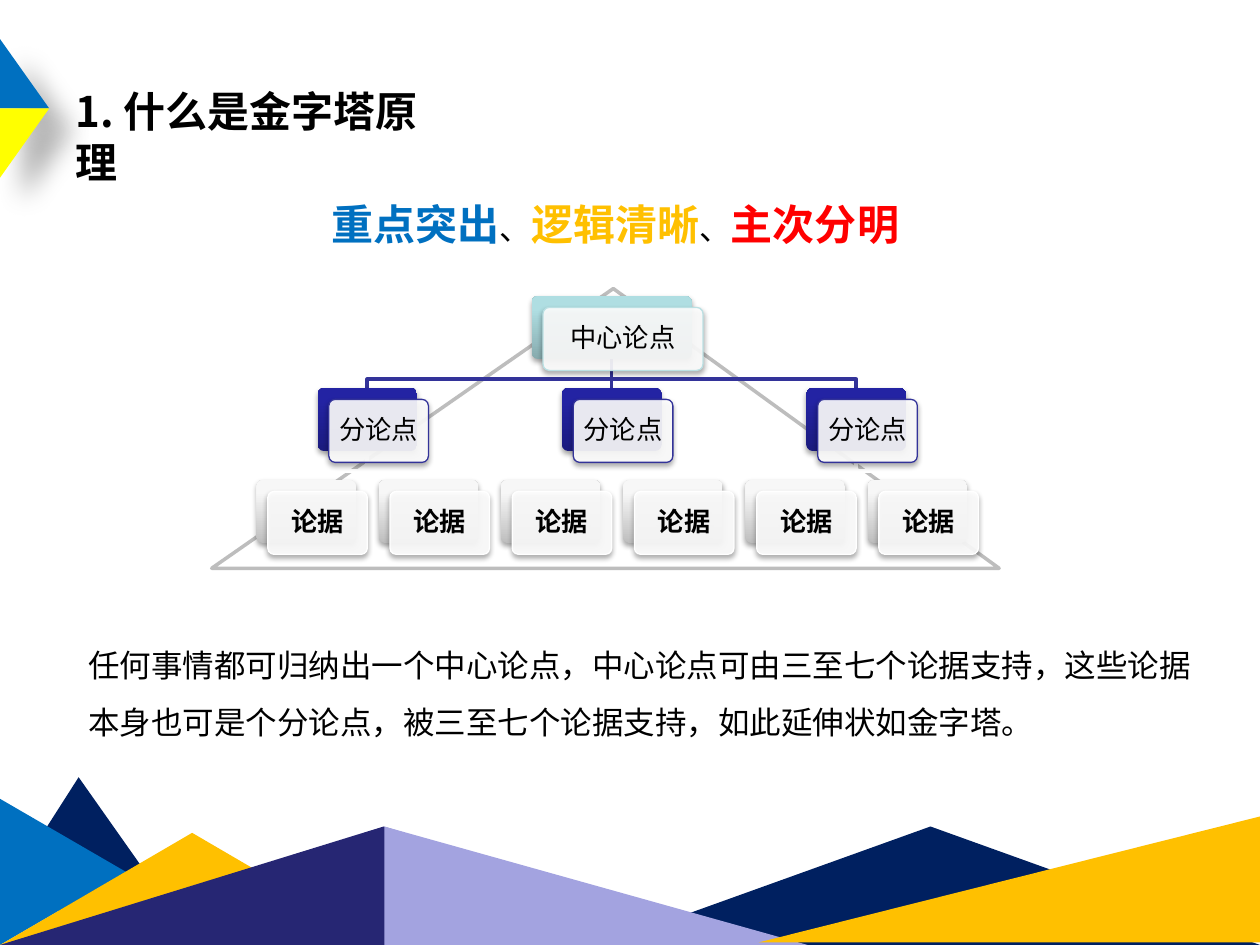
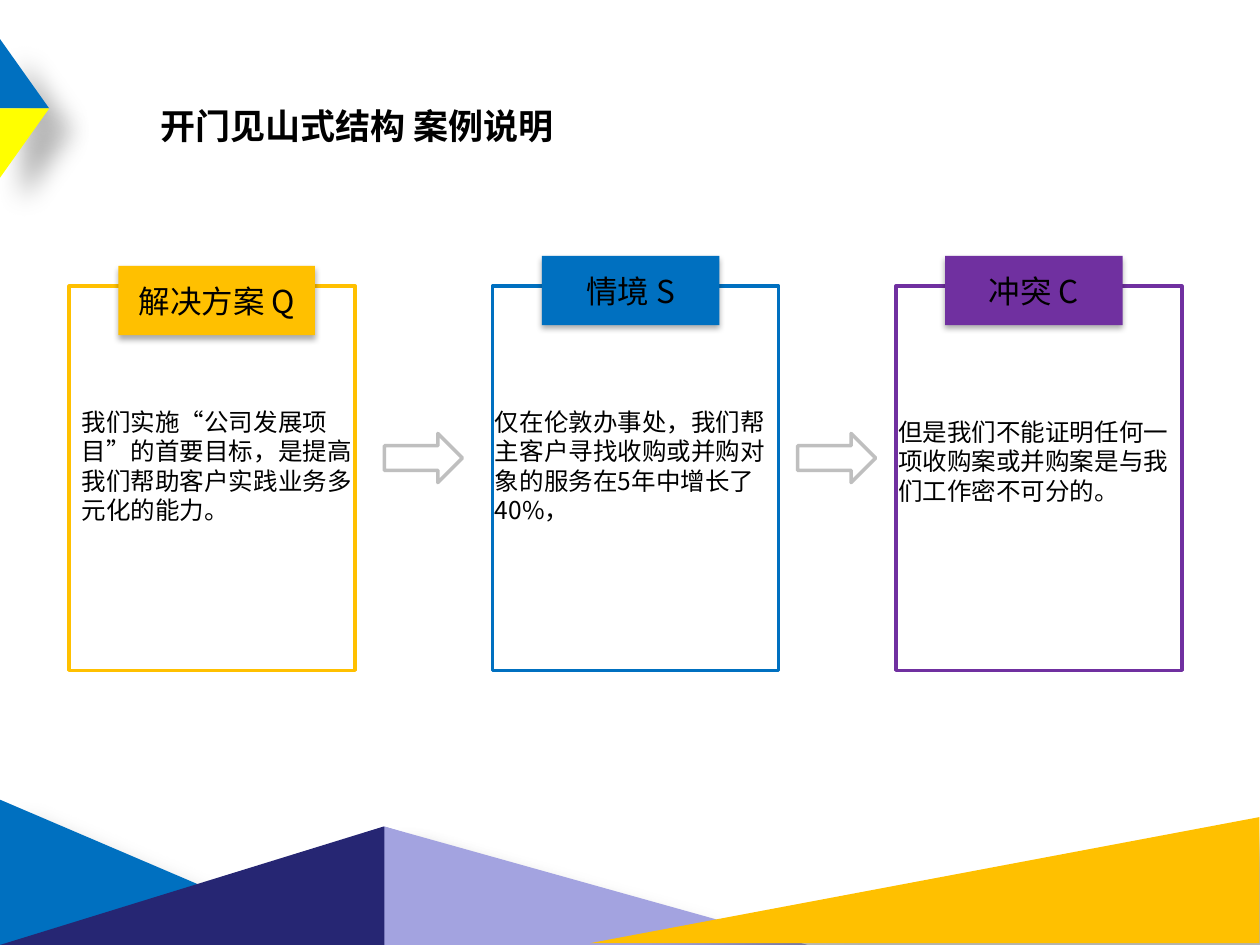
from lxml import etree
from pptx import Presentation
from pptx.dml.color import RGBColor
from pptx.enum.shapes import MSO_CONNECTOR, MSO_SHAPE
from pptx.enum.text import MSO_ANCHOR, MSO_AUTO_SIZE, PP_ALIGN
from pptx.oxml.ns import qn
from pptx.util import Inches, Pt

TRIANGLE, CORNER = MSO_SHAPE.ISOSCELES_TRIANGLE, MSO_SHAPE.RIGHT_TRIANGLE
CARD, RECT, ARROW = MSO_SHAPE.ROUNDED_RECTANGLE, MSO_SHAPE.RECTANGLE, MSO_SHAPE.RIGHT_ARROW
STRAIGHT = MSO_CONNECTOR.STRAIGHT
TOP, MIDDLE = MSO_ANCHOR.TOP, MSO_ANCHOR.MIDDLE
LEFT, CENTER = PP_ALIGN.LEFT, PP_ALIGN.CENTER
FIXED = MSO_AUTO_SIZE.NONE

COLORS = {
    "white": "FFFFFF", "black": "000000", "navy": "002060", "blue": "0070C0",
    "yellow": "FFFF00", "gold": "FFC000", "indigo": "262673", "lilac": "A3A3E0",
    "red": "FF0000", "purple": "7030A0", "silver": "BDBDBD", "arrow": "BFBFBF",
    "teal": "BBE0E3", "teal low": "87ABAE", "teal high": "AFDEE2",
    "ink": "333399", "ink low": "1B1B7E", "ink high": "2323A3",
    "gray low": "BEBEBE", "gray high": "F7F7F7",
}
FONT, LATIN = "Noto Sans CJK SC", "Arial"
CAST = {"alpha": 30, "blur": 15, "distance": 18, "angle": 45}
CARD_SHADOW = {"alpha": 35, "blur": 3.1, "distance": 1.8, "angle": 90}
LABEL_SHADOW = {"alpha": 32, "blur": 3.5, "distance": 2.2, "angle": 90}


def rgb(name):
    return RGBColor.from_string(COLORS[name])


class Painter:
    def __init__(self):
        self.deck = Presentation()
        self.deck.slide_width, self.deck.slide_height = Inches(10), Inches(7.5)
        self.page = None

    def new_page(self, title, at, **format):
        self.page = self.deck.slides.add_slide(self.deck.slide_layouts[5])
        box = self.page.shapes.title
        box.left, box.top, box.width, box.height = map(Inches, at)
        self.fill_text(box, [(title, {"bold": True, **format})])

    def fill_text(self, box, spans, align=LEFT, anchor=TOP, spacing=1.0, inset=None):
        frame = box.text_frame
        settings = {"word_wrap": True, "auto_size": FIXED, "vertical_anchor": anchor}
        if inset is not None:
            for side in ("left", "top", "right", "bottom"):
                settings[f"margin_{side}"] = Inches(inset)
        for name, value in settings.items():
            setattr(frame, name, value)
        para = frame.paragraphs[0]
        para.alignment, para.line_spacing = align, spacing
        for text, format in spans:
            span = para.add_run()
            span.text = text
            look = {"name": FONT, "size": 18, "bold": False, "color": "black", **format}
            span.font.color.rgb = rgb(look.pop("color"))
            look["size"] = Pt(look["size"])
            for name, value in look.items():
                setattr(span.font, name, value)
            etree.SubElement(span.font._element, qn("a:ea"), typeface=FONT)

    def text(self, at, spans, **layout):
        self.fill_text(self.page.shapes.add_textbox(*map(Inches, at)), spans, **layout)

    def shadow(self, shape, alpha, blur, distance, angle):
        effects = shape.element.spPr.find(qn("a:effectLst"))
        outer = etree.SubElement(
            effects, qn("a:outerShdw"), blurRad=str(Pt(blur)), dist=str(Pt(distance)),
            dir=str(angle * 60000), algn="ctr", rotWithShape="0")
        color = etree.SubElement(outer, qn("a:srgbClr"), val=COLORS["black"])
        etree.SubElement(color, qn("a:alpha"), val=str(alpha * 1000))

    def outline(self, shape, color, width=2):
        shape.line.color.rgb = rgb(color)
        shape.line.width = Pt(width)

    def shape(self, kind, at, fill=None, line=None, width=2, turn=0, adjust=None,
              mirror=False, shadow=None):
        shape = self.page.shapes.add_shape(kind, *map(Inches, at))
        shape.rotation = turn
        shape.shadow.inherit = False
        if adjust is not None:
            shape.adjustments[0] = adjust
        if mirror:
            shape.element.spPr.find(qn("a:xfrm")).set("flipH", "1")
        if fill:
            shape.fill.solid()
            shape.fill.fore_color.rgb = rgb(fill)
        else:
            shape.fill.background()
        if line:
            self.outline(shape, line, width)
        else:
            shape.line.fill.background()
        if shadow:
            self.shadow(shape, **shadow)
        return shape

    def corner(self):
        self.shape(CORNER, (0, 0.31, 0.39, 0.55), "blue", shadow=CAST)
        self.shape(CORNER, (0, 0.86, 0.39, 0.55), "yellow", turn=180, mirror=True, shadow=CAST)

    def ridge(self, shadow=None):
        self.shape(TRIANGLE, (0, 6.56, 6.09, 0.94), "indigo", shadow=shadow)
        self.shape(CORNER, (3.05, 6.56, 3.36, 0.94), "lilac", shadow=shadow)

    def card(self, center, top, width, label, tone, border, bold=False):
        left, height, offset = center - width / 2, 0.5, 0.09
        back = self.shape(CARD, (left, top, width, height), "white", adjust=0.1,
                          shadow=CARD_SHADOW)
        back.fill.gradient()
        back.fill.gradient_angle = 90
        for stop, level, position in zip(back.fill.gradient_stops, ("low", "high"), (0, 0.8)):
            stop.color.rgb = rgb(f"{tone} {level}")
            stop.position = position
        front = self.shape(CARD, (left + offset, top + offset, width, height), "white",
                           border, 0.75, adjust=0.1, shadow=CARD_SHADOW)
        color = front.element.spPr.find(qn("a:solidFill")).find(qn("a:srgbClr"))
        etree.SubElement(color, qn("a:alpha"), val="90000")
        self.fill_text(front, [(label, {"size": 15, "bold": bold})], CENTER, MIDDLE, 0.9, 0.06)

    def link(self, start, end, top, color):
        bend, bottom = top + 0.16, top + 0.23
        if start == end:
            line = self.page.shapes.add_connector(
                STRAIGHT, *map(Inches, (start, top, end, bottom)))
            etree.SubElement(line.element.spPr, qn("a:effectLst"))
        else:
            points = [(start, bend), (end, bend), (end, bottom)]
            builder = self.page.shapes.build_freeform(Inches(start), Inches(top))
            builder.add_line_segments([tuple(map(Inches, point)) for point in points], close=False)
            line = builder.convert_to_shape()
            line.fill.background()
            line.shadow.inherit = False
        self.outline(line, color)


def pyramid_page(painter):
    painter.new_page("1. 什么是金字塔原理", (0.5, 0.63, 3.15, 0.51), size=24)
    painter.shape(TRIANGLE, (0.33, 6.33, 1.16, 1.42), "navy", turn=122.6)
    painter.shape(TRIANGLE, (1.68, 2.29, 6.25, 2.22), "white", "silver", adjust=0.51)
    painter.shape(TRIANGLE, (4.77, 6.56, 5.23, 0.94), "navy")
    painter.corner()
    painter.shape(TRIANGLE, (-0.08, 6.42, 1.16, 1), "blue", turn=90)
    painter.shape(TRIANGLE, (0, 6.61, 3.05, 0.89), "gold")
    painter.ridge()
    painter.shape(CORNER, (7.51, 4.99, 1, 3.98), "gold", turn=270)
    painter.text((0.6, 4.93, 9.08, 0.96), [(
        "任何事情都可归纳出一个中心论点，中心论点可由三至七个论据支持，"
        "这些论据本身也可是个分论点，被三至七个论据支持，如此延伸状如金字塔。", {})], spacing=1.5)

    proofs = [2.43 + 0.97 * index for index in range(6)]
    branches = [sum(proofs[index:index + 2]) / 2 for index in range(0, 6, 2)]
    root = branches[1]
    root_top, branch_top, proof_top = (2.35 + 0.73 * level for level in range(3))
    for index, proof in enumerate(proofs):
        painter.link(branches[index // 2], proof, branch_top + 0.5, "white")
    for branch in branches:
        painter.link(root, branch, root_top + 0.5, "ink")
    painter.card(root, root_top, 1.27, "中心论点", "teal", "teal")
    for branch in branches:
        painter.card(branch, branch_top, 0.79, "分论点", "ink", "ink")
    for proof in proofs:
        painter.card(proof, proof_top, 0.79, "论据", "gray", "white", bold=True)

    slogan = []
    for words, color in (("重点突出", "blue"), ("逻辑清晰", "gold"), ("主次分明", "red")):
        if slogan:
            slogan.append(("、", {}))
        slogan.append((words, {"size": 24, "bold": True, "color": color}))
    painter.text((0.35, 1.53, 9.07, 0.51), slogan, align=CENTER)


def case_page(painter):
    painter.new_page("开门见山式结构 案例说明", (1.17, 0.78, 3.6, 0.44), size=20, name=LATIN)
    painter.shape(TRIANGLE, (0.12, 6.22, 1.47, 1.72), "blue", turn=90, shadow=CAST)
    painter.ridge(CAST)
    painter.shape(CORNER, (6.84, 4.33, 1, 5.31), "gold", turn=270, shadow=CAST)
    painter.corner()
    stages = [
        ("解决方案 Q", "gold", 0.55, (2.11, 1.56), (0.55, 3.18), LATIN,
         "我们实施“公司发展项目”的首要目标，是提高我们帮助客户实践业务多元化的能力。"),
        ("情境 S", "blue", 3.91, (2.03, 1.41), (3.83, 3.18), FONT,
         "仅在伦敦办事处，我们帮主客户寻找收购或并购对象的服务在5年中增长了40%，"),
        ("冲突 C", "purple", 7.11, (2.03, 1.41), (7.03, 3.26), FONT,
         "但是我们不能证明任何一项收购案或并购案是与我们工作密不可分的。"),
    ]
    for label, color, left, (label_top, label_width), place, font, story in stages:
        painter.shape(RECT, (left, 2.27, 2.27, 3.05), line=color)
        banner = painter.shape(RECT, (left + 0.39, label_top, label_width, 0.55), color,
                               shadow=LABEL_SHADOW)
        painter.fill_text(banner, [(label, {})], CENTER, MIDDLE)
        painter.text((*place, 2.42, 1.04), [(story, {"size": 14, "name": font})])
    for left in (3.05, 6.33):
        painter.shape(ARROW, (left, 3.44, 0.62, 0.39), line="arrow")


def main():
    painter = Painter()
    pyramid_page(painter)
    case_page(painter)
    painter.deck.save("out.pptx")


if __name__ == "__main__":
    main()
